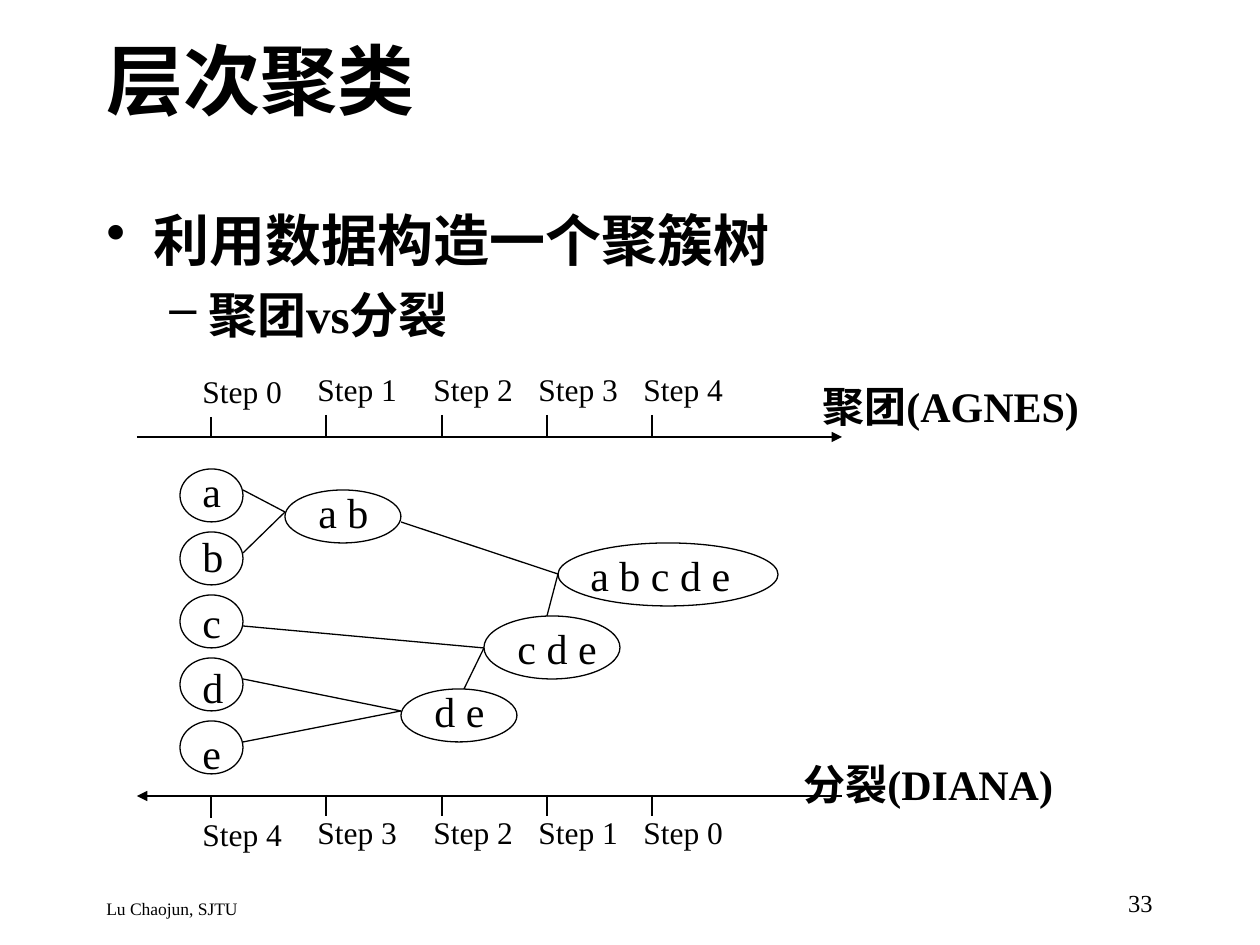
from lxml import etree
from pptx import Presentation
from pptx.dml.color import RGBColor
from pptx.enum.shapes import MSO_CONNECTOR, MSO_SHAPE
from pptx.enum.text import MSO_ANCHOR, PP_ALIGN
from pptx.oxml.ns import qn
from pptx.util import Pt

PX = 914400 / 126
FONT = "Times New Roman"
BLACK = RGBColor.from_string("000000")
LEFT, RIGHT = PP_ALIGN.LEFT, PP_ALIGN.RIGHT
TOP, MIDDLE = MSO_ANCHOR.TOP, MSO_ANCHOR.MIDDLE
STRAIGHT, OVAL = MSO_CONNECTOR.STRAIGHT, MSO_SHAPE.OVAL

deck = Presentation()
deck.slide_width, deck.slide_height = round(1260 * PX), round(945 * PX)
page = deck.slides.add_slide(deck.slide_layouts[6])


def add_text(place, lines, size, bold=False, wrap=True, align=LEFT, anchor=TOP):
    box = page.shapes.add_textbox(*[round(value * PX) for value in place])
    frame = box.text_frame
    frame.word_wrap = wrap
    frame.vertical_anchor = anchor
    for index, line in enumerate(lines):
        para = frame.add_paragraph() if index else frame.paragraphs[0]
        para.alignment = align
        span = para.add_run()
        span.text = line
        formats = {"name": FONT, "size": Pt(size), "bold": bold}
        for name, value in formats.items():
            setattr(span.font, name, value)
        span.font.color.rgb = BLACK
    return frame


def add_line(x1, y1, x2, y2, weight=0.75, arrow=None):
    ends = [round(value * PX) for value in (x1, y1, x2, y2)]
    line = page.shapes.add_connector(STRAIGHT, *ends)
    line.line.color.rgb = BLACK
    line.line.width = Pt(weight)
    if arrow:
        outline = line.line._get_or_add_ln()
        etree.SubElement(outline, qn(f"a:{arrow}"), type="triangle")
    etree.SubElement(line._element.spPr, qn("a:effectLst"))


# Title, bullets and footer
add_text((94, 0, 1071, 158), ["层次聚类"], 44, bold=True, anchor=MIDDLE)

body = add_text((94, 199, 1071, 640), ["利用数据构造一个聚簇树", "聚团vs分裂"], 32, bold=True)
bullets = [("•", 47, 47, 32, 8), ("–", 102, 39, 28, 7)]
for level, (para, bullet) in enumerate(zip(body.paragraphs, bullets)):
    mark, margin, hanging, size, before = bullet
    para.level = level
    para.space_before = Pt(before)
    para.runs[0].font.size = Pt(size)
    props = para._p.get_or_add_pPr()
    props.set("marL", str(round(margin * PX)))
    props.set("indent", str(-round(hanging * PX)))
    etree.SubElement(props, qn("a:buChar"), char=mark)

add_text((94, 892, 731, 32), ["Lu Chaojun, SJTU"], 10)
add_text((903, 882, 262, 42), ["33"], 14, align=RIGHT)

# Step axes: agglomerative on top, divisive below
ticks = [211, 326, 442, 547, 652]
axes = [
    (437, "tailEnd", 415, 364, range(5)),
    (796, "headEnd", 795, 807, range(4, -1, -1)),
]
for axis_y, arrow, tick_y, label_y, steps in axes:
    add_line(137, axis_y, 842, axis_y, 1.5, arrow)
    for index, (x, step) in enumerate(zip(ticks, steps)):
        drop = 0 if index else 2
        add_line(x, tick_y + drop, x, tick_y + drop + 21)
        add_text((x - 21, label_y + drop, 105, 50), [f"Step {step}"], 18)

# Tree nodes: label, label place, ellipse place
nodes = [
    (name, (190, 459 + 131 * row // 2, 45, 63), (180, 469 + 63 * row, 63, 53))
    for row, name in enumerate("abcde")
]
nodes += [
    ("a b", (306, 480, 76, 63), (285, 490, 116, 53)),
    ("d e", (422, 679, 76, 63), (401, 689, 116, 53)),
    ("c d e", (505, 616, 105, 63), (484, 616, 136, 63)),
    ("a b c d e", (578, 543, 165, 63), (558, 543, 220, 63)),
]
for name, label_place, oval_place in nodes:
    add_text(label_place, [name], 24, wrap=False)
    oval = page.shapes.add_shape(OVAL, *[round(value * PX) for value in oval_place])
    oval.shadow.inherit = False
    oval.fill.background()
    oval.line.color.rgb = BLACK
    oval.line.width = Pt(0.75)

# Branches, grouped by the point where they join
branches = {
    (285, 512): [(243, 490), (243, 553)],
    (401, 711): [(243, 679), (243, 742)],
    (484, 648): [(243, 626), (464, 689)],
    (558, 574): [(401, 522), (547, 616)],
}
for joint, starts in branches.items():
    for start in starts:
        add_line(*start, *joint)

# Method names
add_text((810, 374, 291, 63), ["聚团(AGNES)"], 24, bold=True, wrap=False)
add_text((791, 752, 285, 63), ["分裂(DIANA)"], 24, bold=True, wrap=False)

deck.save("out.pptx")
